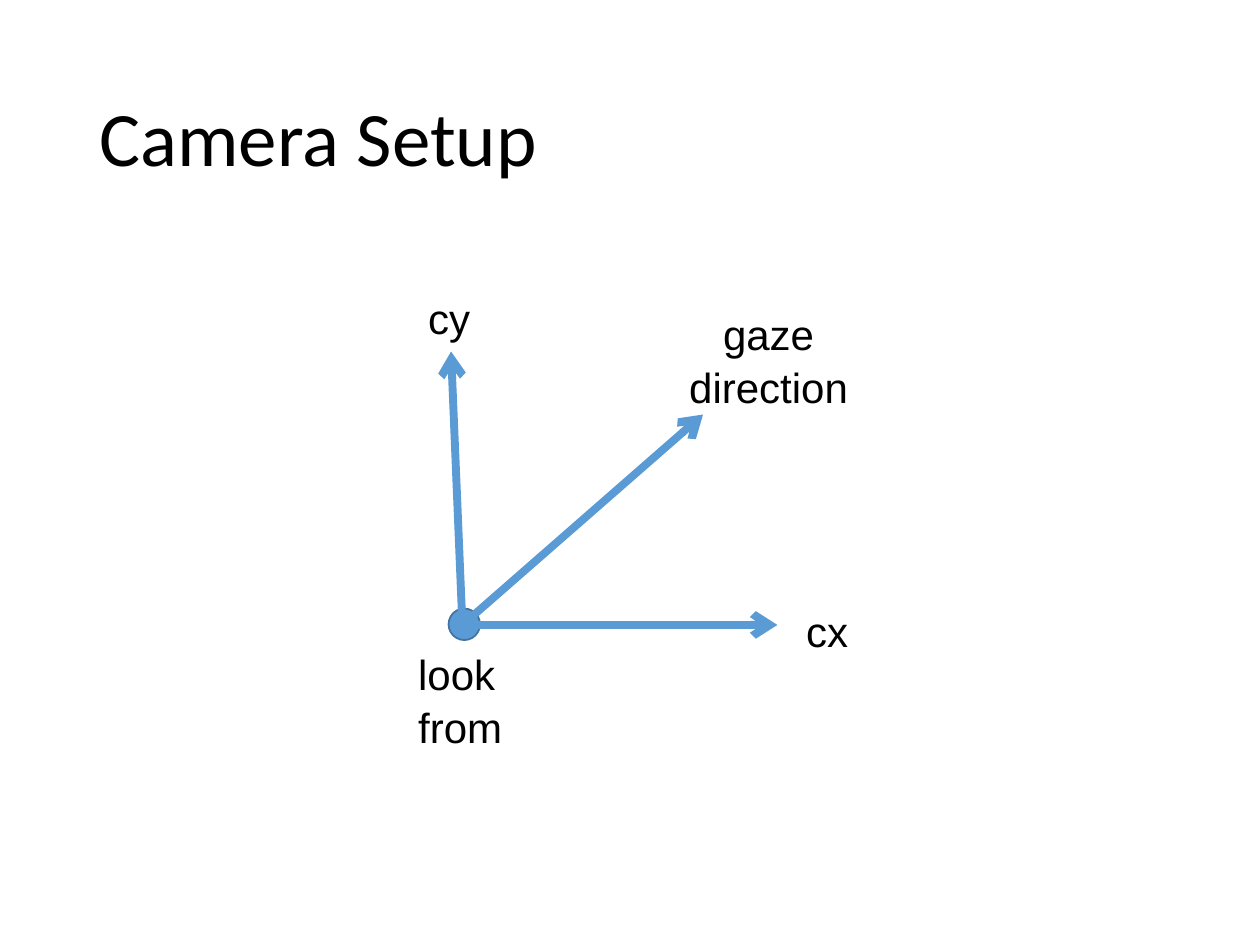
import pptx
import pptx.util
import pptx.dml.color
import pptx.enum.shapes
import pptx.enum.text
import pptx.oxml.ns
import lxml.etree

Inches = pptx.util.Inches
Pt = pptx.util.Pt
RGBColor = pptx.dml.color.RGBColor
ALIGN = pptx.enum.text.PP_ALIGN
ANCHOR = pptx.enum.text.MSO_ANCHOR

BLUE = RGBColor(0x5B, 0x9B, 0xD5)
EDGE = RGBColor(0x43, 0x73, 0x9E)
BLACK = RGBColor(0, 0, 0)


def write(frame, text, size=24, font="Arial", align=ALIGN.LEFT, space=1.05,
          anchor=ANCHOR.TOP, wrap=False):
    """Fill a text frame, one paragraph for each line of text."""
    frame.word_wrap = wrap
    frame.vertical_anchor = anchor
    frame.text = text
    for para in frame.paragraphs:
        para.alignment = align
        para.line_spacing = space
        para.font.size = Pt(size)
        para.font.name = font
        para.font.color.rgb = BLACK


def arrow(slide, start, end):
    """Draw a thick blue arrow from start to end."""
    line = slide.shapes.add_connector(
        pptx.enum.shapes.MSO_CONNECTOR.STRAIGHT, *start, *end)
    line.line.color.rgb = BLUE
    line.line.width = Pt(4.5)
    qn = pptx.oxml.ns.qn
    lxml.etree.SubElement(line.line._get_or_add_ln(), qn("a:tailEnd"), type="arrow")
    lxml.etree.SubElement(line._element.spPr, qn("a:effectLst"))


def title(slide, left, top, width, height):
    """Place the slide title in its box."""
    head = slide.shapes.title
    head.left, head.top, head.width, head.height = left, top, width, height
    write(head.text_frame, "Camera Setup", size=44, font="Calibri",
          space=0.9, anchor=ANCHOR.MIDDLE, wrap=True)


def camera(slide, left, top, width, height):
    """Draw the camera point, its three axes and their labels in a box."""
    def place(x, y):
        return left + int(width * x / 3.62), top + int(height * y / 3.74)

    dot = slide.shapes.add_shape(
        pptx.enum.shapes.MSO_SHAPE.OVAL, *place(0.34, 2.58),
        Inches(0.25), Inches(0.25))
    dot.shadow.inherit = False
    dot.fill.solid()
    dot.fill.fore_color.rgb = BLUE
    dot.line.color.rgb = EDGE
    dot.line.width = Pt(1)

    for tip in ((2.36, 1.04), (0.36, 0.54), (2.95, 2.71)):
        arrow(slide, place(0.45, 2.71), place(*tip))

    labels = (
        ("look\nfrom", 0, 2.83, 0.88, 0.91, ALIGN.LEFT),
        ("cx", 3.08, 2.49, 0.54, 0.51, ALIGN.LEFT),
        ("cy", 0.08, 0, 0.54, 0.51, ALIGN.LEFT),
        ("gaze\ndirection", 2.14, 0.13, 1.48, 0.91, ALIGN.CENTER),
    )
    for text, x, y, wide, high, align in labels:
        box = slide.shapes.add_textbox(*place(x, y), Inches(wide), Inches(high))
        write(box.text_frame, text, align=align)


def main():
    """Build the deck and save it."""
    deck = pptx.Presentation()
    deck.slide_width, deck.slide_height = Inches(10), Inches(7.5)
    slide = deck.slides.add_slide(deck.slide_layouts[5])
    title(slide, Inches(0.69), Inches(0.4), Inches(8.62), Inches(1.45))
    camera(slide, Inches(3.22), Inches(2.25), Inches(3.62), Inches(3.74))
    deck.save("out.pptx")


if __name__ == "__main__":
    main()
